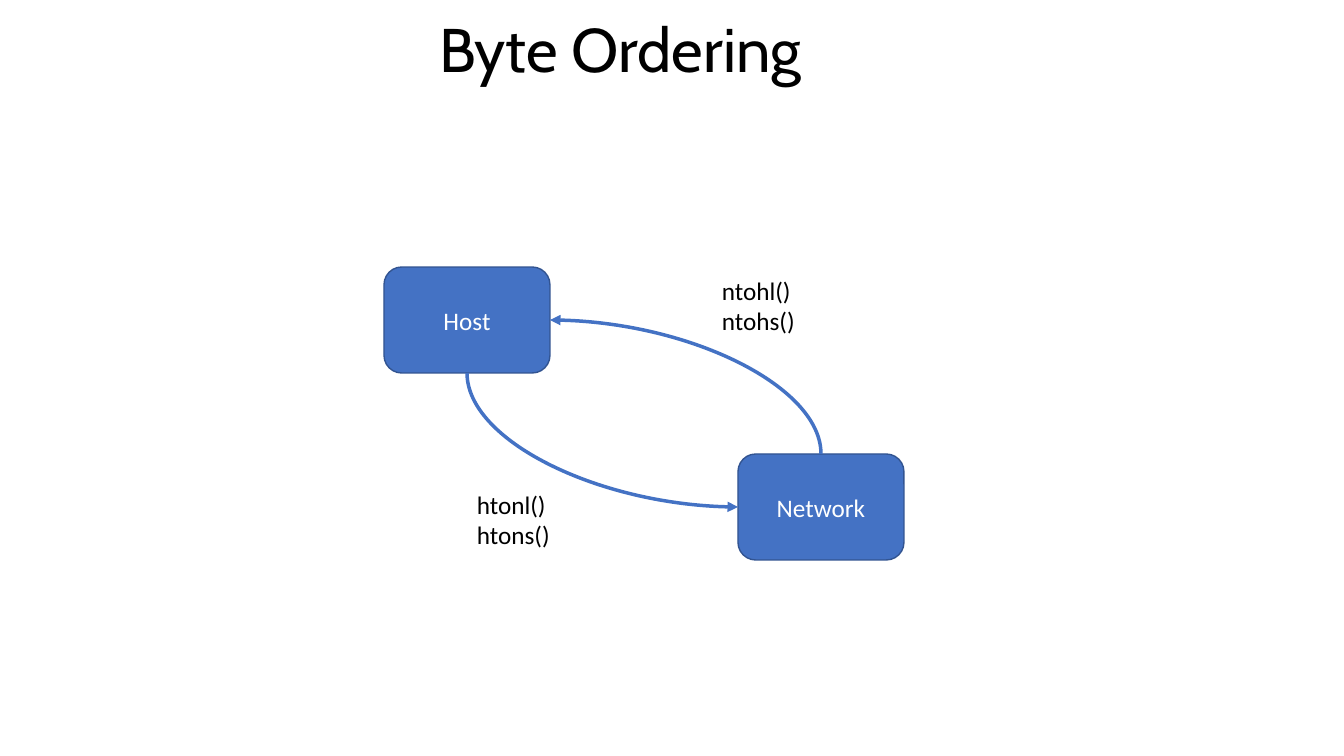
"""Builds a slide on byte ordering between host and network."""
import dataclasses

import lxml.etree
import pptx
import pptx.dml.color
import pptx.enum.shapes
import pptx.enum.text
import pptx.oxml.ns
import pptx.util

ALIGN = pptx.enum.text.PP_ALIGN
ANCHOR = pptx.enum.text.MSO_ANCHOR
AUTO_SIZE = pptx.enum.text.MSO_AUTO_SIZE


@dataclasses.dataclass(frozen=True)
class Theme:
    """Holds the colours, fonts and type sizes of the slide."""
    text: str = "000000"
    node_text: str = "FFFFFF"
    accent: str = "4472C4"
    outline: str = "325491"
    title_font: str = "Cabin"
    body_font: str = "Calibri"
    title_size: int = 44
    body_size: int = 18
    outline_width: float = 1
    arrow_width: float = 2.5


THEME = Theme()


def px(length):
    """Turns pixels into EMU."""
    return pptx.util.Emu(round(length * 914400 / 100.8))


def rgb(code):
    """Turns a hex code into a colour."""
    return pptx.dml.color.RGBColor.from_string(code)


def write(frame, text, font=THEME.body_font, size=THEME.body_size, color=THEME.text,
          align=ALIGN.LEFT, anchor=ANCHOR.TOP, spacing=None, auto_size=AUTO_SIZE.NONE):
    """Fills a text frame with one paragraph per line of text."""
    frame.text = text
    frame.word_wrap = True
    frame.auto_size = auto_size
    frame.vertical_anchor = anchor
    for paragraph in frame.paragraphs:
        paragraph.alignment = align
        paragraph.line_spacing = spacing
        for run in paragraph.runs:
            run.font.name = font
            run.font.size = pptx.util.Pt(size)
            run.font.color.rgb = rgb(color)


def place_title(slide, box, text):
    """Moves and formats the title placeholder."""
    title = slide.shapes.title
    title.left, title.top, title.width, title.height = map(px, box)
    write(title.text_frame, text, font=THEME.title_font, size=THEME.title_size,
          align=ALIGN.CENTER, anchor=ANCHOR.MIDDLE, spacing=0.9)


def add_node(slide, box, text):
    """Draws a rounded box with a centred name."""
    node = slide.shapes.add_shape(
        pptx.enum.shapes.MSO_SHAPE.ROUNDED_RECTANGLE, *map(px, box))
    node.shadow.inherit = False
    node.fill.solid()
    node.fill.fore_color.rgb = rgb(THEME.accent)
    node.line.color.rgb = rgb(THEME.outline)
    node.line.width = pptx.util.Pt(THEME.outline_width)
    write(node.text_frame, text, color=THEME.node_text,
          align=ALIGN.CENTER, anchor=ANCHOR.MIDDLE)


def add_label(slide, box, text):
    """Writes the function names beside an arrow."""
    label = slide.shapes.add_textbox(*map(px, box))
    write(label.text_frame, text, auto_size=AUTO_SIZE.SHAPE_TO_FIT_TEXT)


def add_curve(slide, start, end):
    """Draws a quarter-turn arrow that leaves vertically and arrives horizontally."""
    center_x, center_y = (start[0] + end[0]) / 2, (start[1] + end[1]) / 2
    reach_x, reach_y = start[0] - center_x, start[1] - center_y
    curve = slide.shapes.add_connector(
        pptx.enum.shapes.MSO_CONNECTOR.CURVE,
        px(center_x - reach_y), px(center_y + reach_x),
        px(center_x + reach_y), px(center_y - reach_x))
    curve.line.color.rgb = rgb(THEME.accent)
    curve.line.width = pptx.util.Pt(THEME.arrow_width)
    qn = pptx.oxml.ns.qn
    properties = curve._element.spPr
    properties.find(qn("a:xfrm")).set("rot", str(270 * 60000))
    properties.find(qn("a:prstGeom")).set("prst", "curvedConnector2")
    lxml.etree.SubElement(properties.find(qn("a:ln")), qn("a:tailEnd"), type="triangle")
    lxml.etree.SubElement(properties, qn("a:effectLst"))


def add_conversion_diagram(slide, box):
    """Draws host and network in opposite corners with the conversions between them."""
    left, top, width, height = box
    node_width, node_height = 166, 106
    network_left, network_top = left + width - node_width, top + height - node_height
    host_x, host_y = left + node_width / 2, top + node_height / 2
    network_x, network_y = network_left + node_width / 2, network_top + node_height / 2

    add_node(slide, (left, top, node_width, node_height), "Host")
    add_node(slide, (network_left, network_top, node_width, node_height), "Network")
    add_curve(slide, (network_x, network_top), (left + node_width, host_y))
    add_curve(slide, (host_x, top + node_height), (network_left, network_y))
    add_label(slide, (host_x, network_top + 30, node_width, 71), "htonl()\nhtons()")
    add_label(slide, (network_left - 26, top + 3, node_width, 71), "ntohl()\nntohs()")


def main():
    """Builds and saves the slide."""
    deck = pptx.Presentation()
    deck.slide_width, deck.slide_height = px(1344), px(756)
    slide = deck.slides.add_slide(deck.slide_layouts.get_by_name("Title Only"))
    place_title(slide, (130, 0, 981, 106), "Byte Ordering")
    add_conversion_diagram(slide, (384, 267, 520, 293))
    deck.save("out.pptx")


if __name__ == "__main__":
    main()
